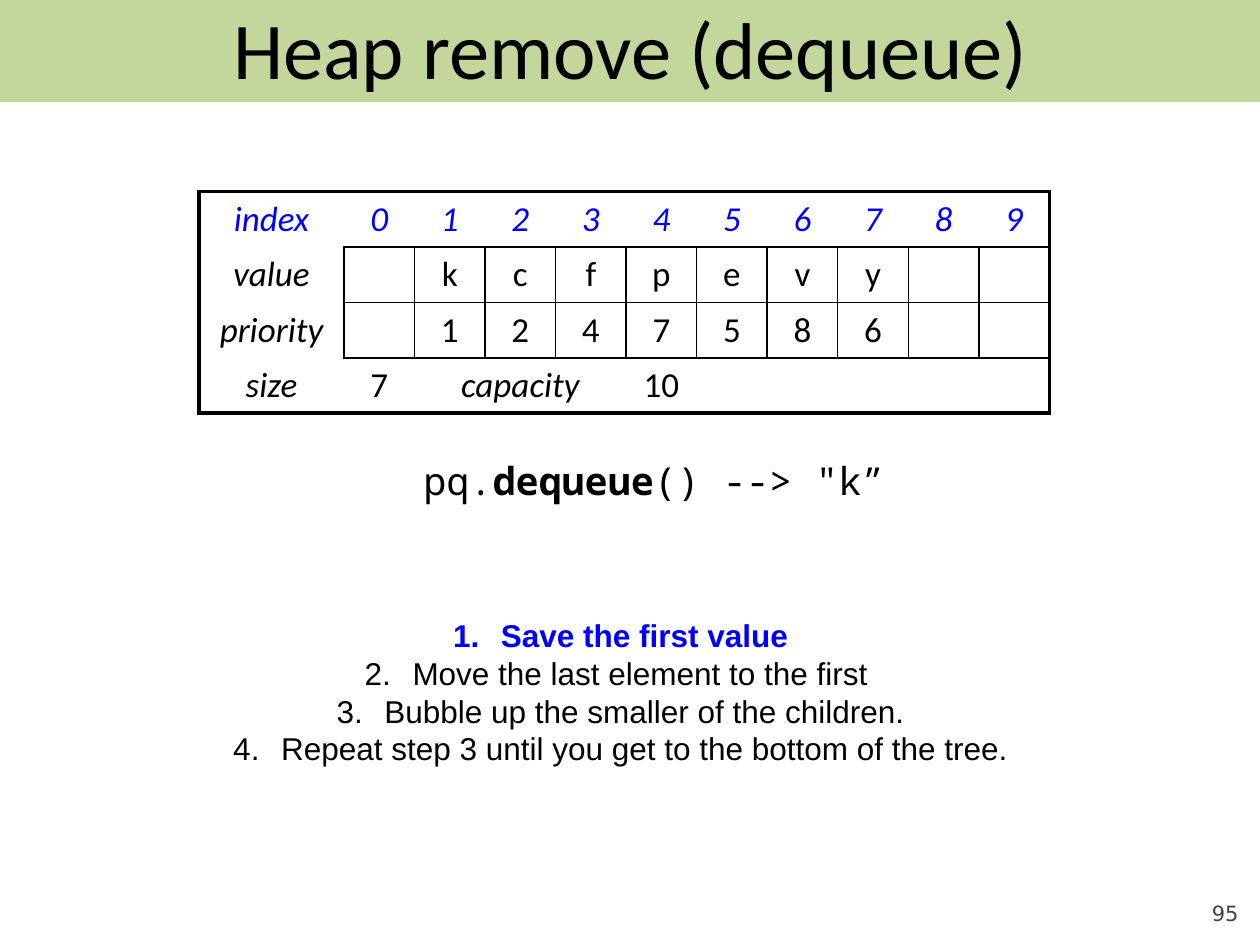
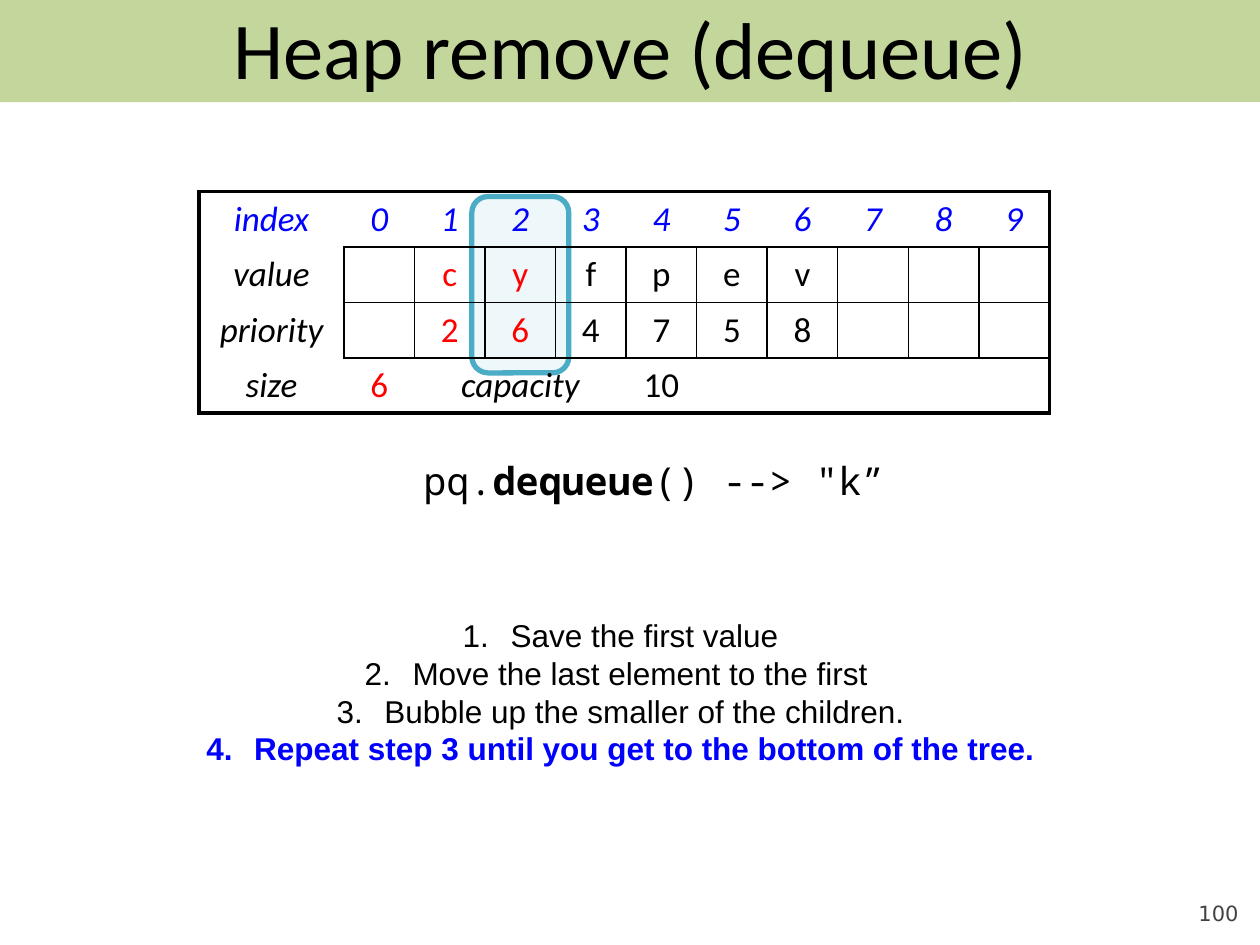
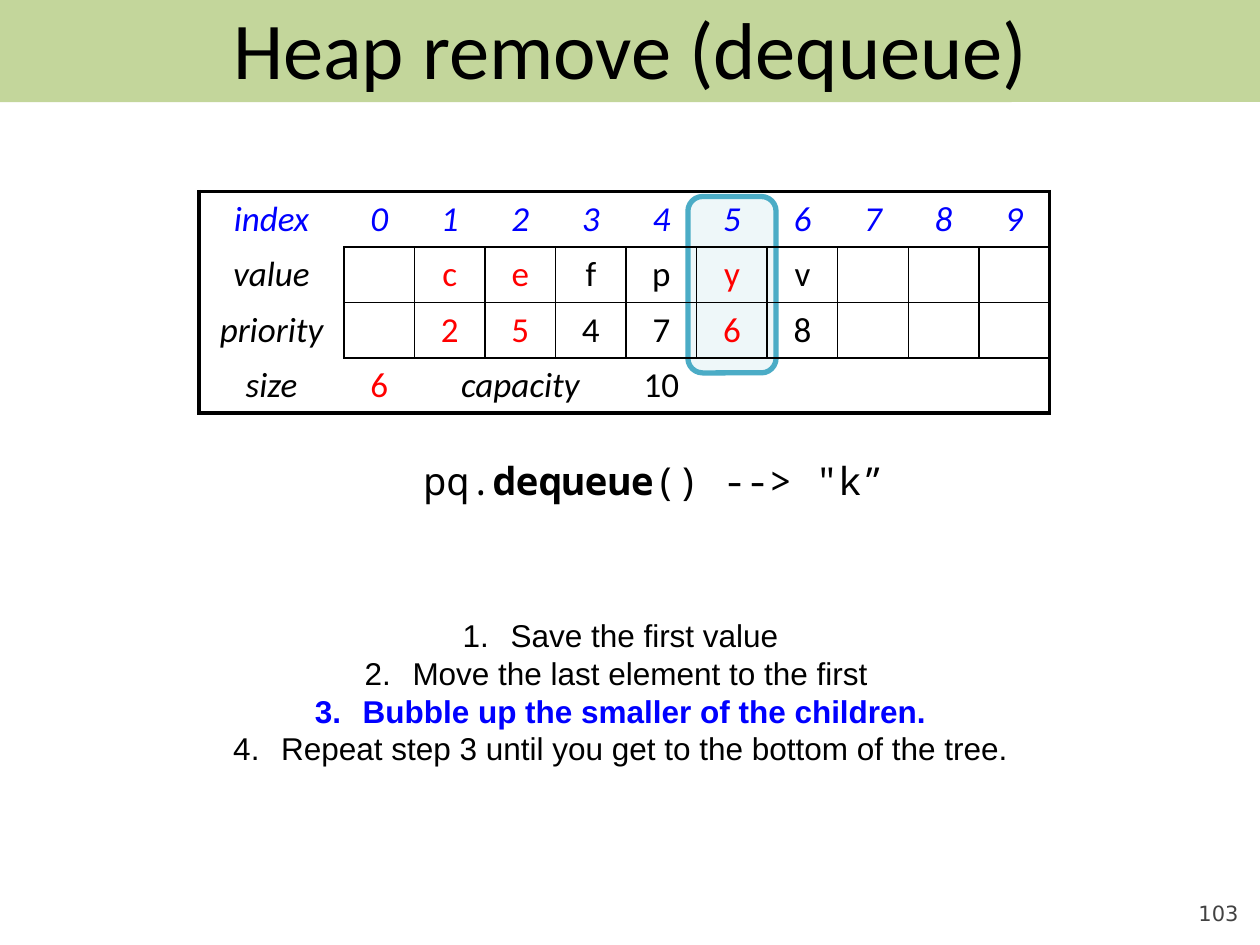
from lxml import etree
from pptx import Presentation, util as u
from pptx.dml.color import RGBColor
from pptx.enum import shapes, text
from pptx.oxml.ns import qn

BLACK, BLUE, RED = "000000", "0000FF", "FF0000"
BAND, PAGE_GRAY = "C3D69B", "424242"
MARK_FILL, MARK_LINE = "DBEEF4", "4BACC6"
WIDTH, HEIGHT = 10, 7.5

TABLE_LEFT, TABLE_TOP = 1.58, 1.52
LABEL_WIDTH, CELL_WIDTH, ROW_HEIGHT = 1.15, 0.56, 0.44
CAPACITY = 10
ROWS, COLUMNS = 4, CAPACITY + 1

STEPS = [
    "Save the first value",
    "Move the last element to the first ",
    "Bubble up the smaller of the children.",
    "Repeat step 3 until you get to the bottom of the tree.",
]

# Values and priorities start at index 1; mark is (index, width).
STATES = [
    dict(page=95, values="kcfpevy", priorities="1247586", changed=[], mark=None, step=1),
    dict(page=100, values="cyfpev", priorities="264758", changed=[1, 2], mark=(2, 0.77), step=4),
    dict(page=103, values="cefpyv", priorities="254768", changed=[1, 2, 5], mark=(5, 0.7), step=3),
]


def style(paragraph, size, face, color=BLACK, align=text.PP_ALIGN.CENTER, bold=False, italic=False):
    paragraph.alignment = align
    font = paragraph.font
    font.size, font.name = u.Pt(size), face
    font.bold, font.italic = bold, italic
    font.color.rgb = RGBColor.from_string(color)


def draw_border(cell, position, side, points):
    """Draw one side of a cell; zero points hides it."""
    line = etree.Element(qn(f"a:ln{side}"), w=str(u.Pt(points)))
    if points:
        fill = etree.SubElement(line, qn("a:solidFill"))
        etree.SubElement(fill, qn("a:srgbClr"), val=BLACK)
    else:
        etree.SubElement(line, qn("a:noFill"))
    cell._tc.get_or_add_tcPr().insert(position, line)


deck = Presentation()
deck.slide_width, deck.slide_height = u.Inches(WIDTH), u.Inches(HEIGHT)
title_only = deck.slide_layouts[5]

for state in STATES:
    slide = deck.slides.add_slide(title_only)

    # Title on its band
    title = slide.shapes.title
    band = slide.shapes.add_shape(shapes.MSO_SHAPE.ROUNDED_RECTANGLE, 0, 0, deck.slide_width, u.Inches(0.81))
    band.adjustments[0] = 0.001
    band.shadow.inherit = False
    band.fill.solid()
    band.fill.fore_color.rgb = RGBColor.from_string(BAND)
    band.line.fill.background()
    title.element.addprevious(band.element)

    title.left, title.top = u.Inches(0.5), 0
    title.width, title.height = u.Inches(WIDTH - 1), u.Inches(0.75)
    title.text = "Heap remove (dequeue)"
    title.text_frame.auto_size = text.MSO_AUTO_SIZE.NONE
    title.text_frame.vertical_anchor = text.MSO_ANCHOR.MIDDLE
    style(title.text_frame.paragraphs[0], 46, "Calibri")

    # Page number
    page = slide.shapes.add_textbox(u.Inches(9), u.Inches(6.95), u.Inches(0.83), u.Inches(0.4)).text_frame
    page.margin_left = page.margin_right = page.margin_top = page.margin_bottom = 0
    page.word_wrap = True
    page.vertical_anchor = text.MSO_ANCHOR.BOTTOM
    page.text = str(state["page"])
    style(page.paragraphs[0], 12, "DejaVu Sans", PAGE_GRAY, text.PP_ALIGN.RIGHT)

    # Mark behind the element being bubbled down
    if state["mark"]:
        index, mark_width = state["mark"]
        center = TABLE_LEFT + LABEL_WIDTH + (index + 0.5) * CELL_WIDTH
        mark = slide.shapes.add_shape(
            shapes.MSO_SHAPE.ROUNDED_RECTANGLE, u.Inches(center - mark_width / 2),
            u.Inches(TABLE_TOP + 0.04), u.Inches(mark_width), u.Inches(1.4))
        mark.shadow.inherit = False
        mark.fill.solid()
        mark.fill.fore_color.rgb = RGBColor.from_string(MARK_FILL)
        tint = mark.element.spPr.find(qn("a:solidFill"))[0]
        etree.SubElement(tint, qn("a:alpha"), val="47000")
        mark.line.color.rgb = RGBColor.from_string(MARK_LINE)
        mark.line.width = u.Pt(3)

    # Heap array
    size = len(state["values"])
    unused = [""] * (CAPACITY - size - 1)
    contents = [
        ["index", *map(str, range(CAPACITY))],
        ["value", "", *state["values"], *unused],
        ["priority", "", *state["priorities"], *unused],
        ["size", str(size), "capacity", "", "", str(CAPACITY)] + [""] * 5,
    ]
    heap = slide.shapes.add_table(
        ROWS, COLUMNS, u.Inches(TABLE_LEFT), u.Inches(TABLE_TOP),
        u.Inches(LABEL_WIDTH + CAPACITY * CELL_WIDTH), u.Inches(ROWS * ROW_HEIGHT)).table
    heap.first_row = heap.horz_banding = False
    for c, column in enumerate(heap.columns):
        column.width = u.Inches(CELL_WIDTH if c else LABEL_WIDTH)
    for r, row in enumerate(contents):
        heap.rows[r].height = u.Inches(ROW_HEIGHT)
        for c, content in enumerate(row):
            cell = heap.cell(r, c)
            cell.text = content
            cell.fill.background()
            in_array = r in (1, 2) and c > 0
            is_label = r == 0 or c == 0 or content == "capacity"
            is_changed = (in_array and c - 1 in state["changed"]) or (
                (r, c) == (3, 1) and state["changed"])
            color = BLUE if r == 0 else RED if is_changed else BLACK
            style(cell.text_frame.paragraphs[0], 20, "Calibri", color, italic=is_label)

            neighbors = {"L": (r, c - 1), "R": (r, c + 1), "T": (r - 1, c), "B": (r + 1, c)}
            for position, (side, (nr, nc)) in enumerate(neighbors.items()):
                if not (0 <= nr < ROWS and 0 <= nc < COLUMNS):
                    points = 2.25
                else:
                    points = 1 if in_array or (nr in (1, 2) and nc > 0) else 0
                draw_border(cell, position, side, points)
    heap.cell(3, 2).merge(heap.cell(3, 4))

    # Call and its result
    call = slide.shapes.add_textbox(u.Inches(0.55), u.Inches(3.56), u.Inches(9.28), u.Inches(0.5)).text_frame
    call.word_wrap = True
    call.vertical_anchor = text.MSO_ANCHOR.MIDDLE
    for part in ("pq.", "dequeue", "() --> \"k”"):
        run = call.paragraphs[0].add_run()
        run.text = part
        if part == "dequeue":
            run.font.bold = True
    style(call.paragraphs[0], 22, "Noto Sans Mono")

    # Steps of the algorithm, the current one emphasized
    steps = slide.shapes.add_textbox(u.Inches(1.53), u.Inches(4.84), u.Inches(6.79), u.Inches(1.31)).text_frame
    steps.word_wrap = True
    steps.text = "\n".join(STEPS)
    for number, paragraph in enumerate(steps.paragraphs, 1):
        properties = paragraph._p.get_or_add_pPr()
        properties.set("marL", str(u.Inches(0.38)))
        properties.set("indent", str(-u.Inches(0.38)))
        etree.SubElement(properties, qn("a:buFont"), typeface="+mj-lt")
        etree.SubElement(properties, qn("a:buAutoNum"), type="arabicPeriod")
        current = number == state["step"]
        style(paragraph, 18, "Arial", BLUE if current else BLACK, bold=current)

deck.save("out.pptx")
